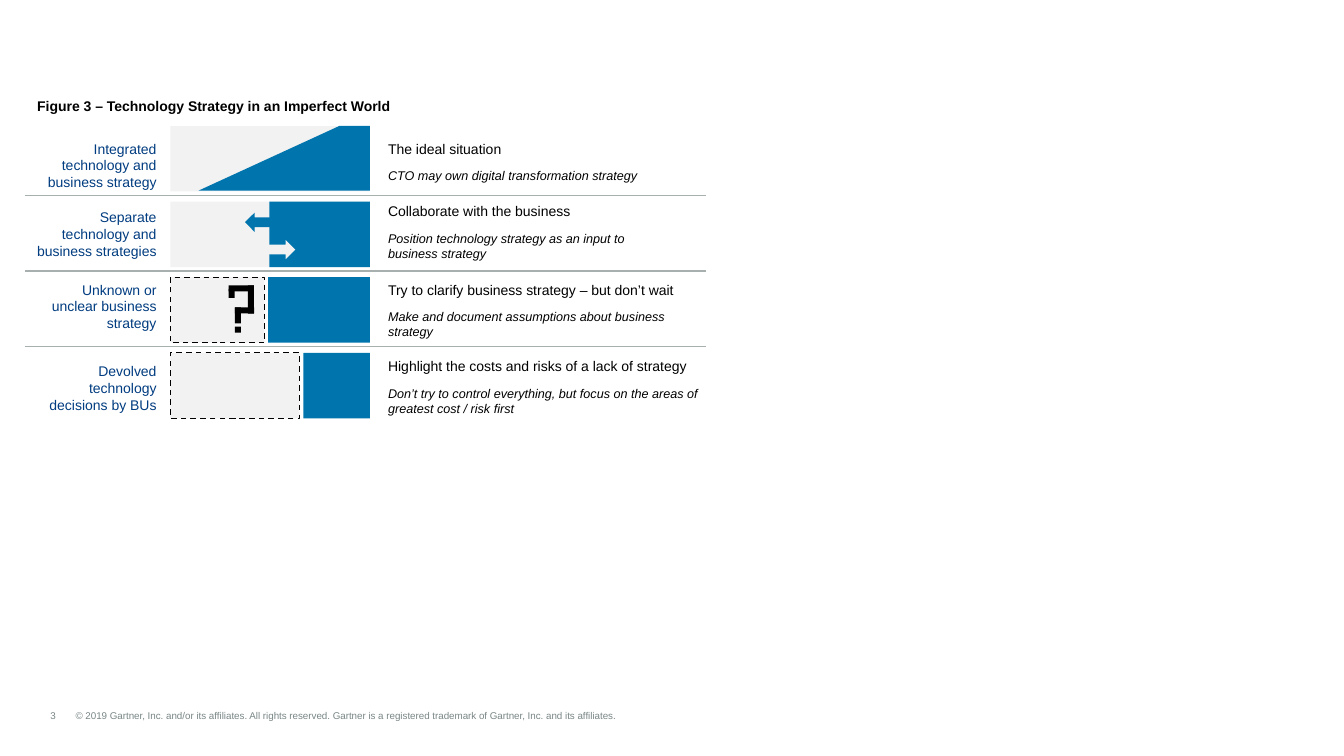
import pptx
import pptx.util
import pptx.dml.color
import pptx.enum.shapes
import pptx.enum.text
import pptx.enum.dml
import lxml.etree

Pt = pptx.util.Pt
KIND = pptx.enum.shapes.MSO_SHAPE
ALIGN = pptx.enum.text.PP_ALIGN
ANCHOR = pptx.enum.text.MSO_ANCHOR

NAVY, BLUE, PALE, BLACK = "003C80", "0074AD", "F2F2F2", "000000"
RULE, GREY = "A7AFAF", "7A8686"

TITLE = "Figure 3 – Technology Strategy in an Imperfect World"
FOOTER = "3\t© 2019 Gartner, Inc. and/or its affiliates. All rights reserved. Gartner is a registered trademark of Gartner, Inc. and its affiliates."

ROWS = [
    dict(label="Integrated technology and business strategy",
         head="The ideal situation",
         note="CTO may own digital transformation strategy",
         label_box=(96.5, 97.2), note_box=(96.5, 213.8, 38.2),
         pale=142.6, blue=None, dash=False),
    dict(label="Separate technology and business strategies",
         head="Collaborate with the business",
         note="Position technology strategy as an input to business strategy",
         label_box=(145.4, 97.2), note_box=(141.1, 213.8, 49),
         pale=142.6, blue=192.4, dash=False),
    dict(label="Unknown or unclear business strategy",
         head="Try to clarify business strategy – but don’t wait",
         note="Make and document assumptions about business strategy",
         label_box=(197.3, 87.8), note_box=(197.3, 213.8, 49),
         pale=67.2, blue=191.5, dash=True),
    dict(label="Devolved technology decisions by BUs",
         head="Highlight the costs and risks of a lack of strategy",
         note="Don’t try to control everything, but focus on the areas of greatest cost / risk first",
         label_box=(255.6, 87.8), note_box=(252, 236.9, 49),
         pale=92.2, blue=216.7, dash=True),
]

WEDGE = [(242.4, 90), (264.3, 90), (264.3, 136.2), (141.8, 136.2)]
ARROWS = [(KIND.RIGHT_ARROW, 188.6, 171.4, PALE), (KIND.LEFT_ARROW, 175, 151.9, BLUE)]

THICK = 4.3
QUERY = [
    (163.4, 203.8, 18, THICK),
    (177.1, 203.8, THICK, 20.2),
    (167.8, 219.6, 13.7, THICK),
    (167.8, 219.6, THICK, 11.5),
    (167.8, 233.3, THICK, THICK),
    (163.4, 206.3, THICK, 6.5),
]

TOP, PITCH, BAR = 90, 54, 46.8
LEFT, RIGHT = 121.7, 264.3
LABEL_END, NOTE_LEFT = 118.8, 277.2

deck = pptx.Presentation()
deck.slide_width, deck.slide_height = Pt(960), Pt(540)
slide = deck.slides.add_slide(deck.slide_layouts[6])
shapes = slide.shapes


def color(code):
    return pptx.dml.color.RGBColor.from_string(code)


def paint(shape, fill):
    shape.shadow.inherit = False
    shape.fill.solid()
    shape.fill.fore_color.rgb = color(fill)
    shape.line.fill.background()


def block(kind, x, y, w, h, fill, dash=False):
    shape = shapes.add_shape(kind, Pt(x), Pt(y), Pt(w), Pt(h))
    paint(shape, fill)
    if dash:
        shape.line.color.rgb = color(BLACK)
        shape.line.width = Pt(1)
        shape.line.dash_style = pptx.enum.dml.MSO_LINE.DASH


def write(x, y, w, h, lines, ink=BLACK, align=ALIGN.LEFT, after=0, wrap=True, pad=(3.6, 7.2)):
    frame = shapes.add_textbox(Pt(x), Pt(y), Pt(w), Pt(h)).text_frame
    frame.word_wrap = wrap
    frame.margin_left = 0
    frame.margin_top = frame.margin_bottom = Pt(pad[0])
    frame.margin_right = Pt(pad[1])
    for i, (text, size, bold, slant) in enumerate(lines):
        para = frame.add_paragraph() if i else frame.paragraphs[0]
        para.alignment = align
        para.space_after = Pt(after)
        run = para.add_run()
        run.text = text
        font = run.font
        font.name, font.size = "Arial", Pt(size)
        font.bold, font.italic = bold, slant
        font.color.rgb = color(ink)
    return frame


def rule(y):
    line = shapes.add_connector(pptx.enum.shapes.MSO_CONNECTOR.STRAIGHT, Pt(18), Pt(y), Pt(504), Pt(y))
    line.line.color.rgb = color(RULE)
    line.line.width = Pt(1)
    lxml.etree.SubElement(line._element.spPr, pptx.oxml.ns.qn("a:effectLst"))


write(26.6, 66.2, 266.4, 19.4, [(TITLE, 10, True, False)], wrap=False)

for i, row in enumerate(ROWS):
    top = TOP + i * PITCH
    y, w = row["label_box"]
    write(LABEL_END - w, y, w, 43.2, [(row["label"], 10, False, False)], NAVY, ALIGN.RIGHT)
    y, w, h = row["note_box"]
    write(NOTE_LEFT, y, w, h, [(row["head"], 10, False, False), (row["note"], 9, False, True)], after=8)
    block(KIND.RECTANGLE, LEFT, top, row["pale"], BAR, PALE, row["dash"])
    if row["blue"]:
        block(KIND.RECTANGLE, row["blue"], top, RIGHT - row["blue"], BAR, BLUE)
    if i:
        rule(top - 4.3)

start, *rest = [(x * 100, y * 100) for x, y in WEDGE]
build = shapes.build_freeform(*start, scale=Pt(1) / 100)
build.add_line_segments(rest, close=True)
paint(build.convert_to_shape(), BLUE)

for kind, x, y, fill in ARROWS:
    block(kind, x, y, 22.3, 13.7, fill)
for box in QUERY:
    block(KIND.RECTANGLE, *box, BLACK)

foot = write(36, 506.9, 565.2, 8.6, [(FOOTER, 7, False, False)], GREY, pad=(0, 0))
foot.vertical_anchor = ANCHOR.BOTTOM
props = foot.paragraphs[0]._p.get_or_add_pPr()
props.set("marL", str(Pt(18)))
props.set("indent", str(-Pt(18)))
tabs = lxml.etree.SubElement(props, pptx.oxml.ns.qn("a:tabLst"))
lxml.etree.SubElement(tabs, pptx.oxml.ns.qn("a:tab"), pos=str(Pt(18)), algn="l")

deck.save("out.pptx")
